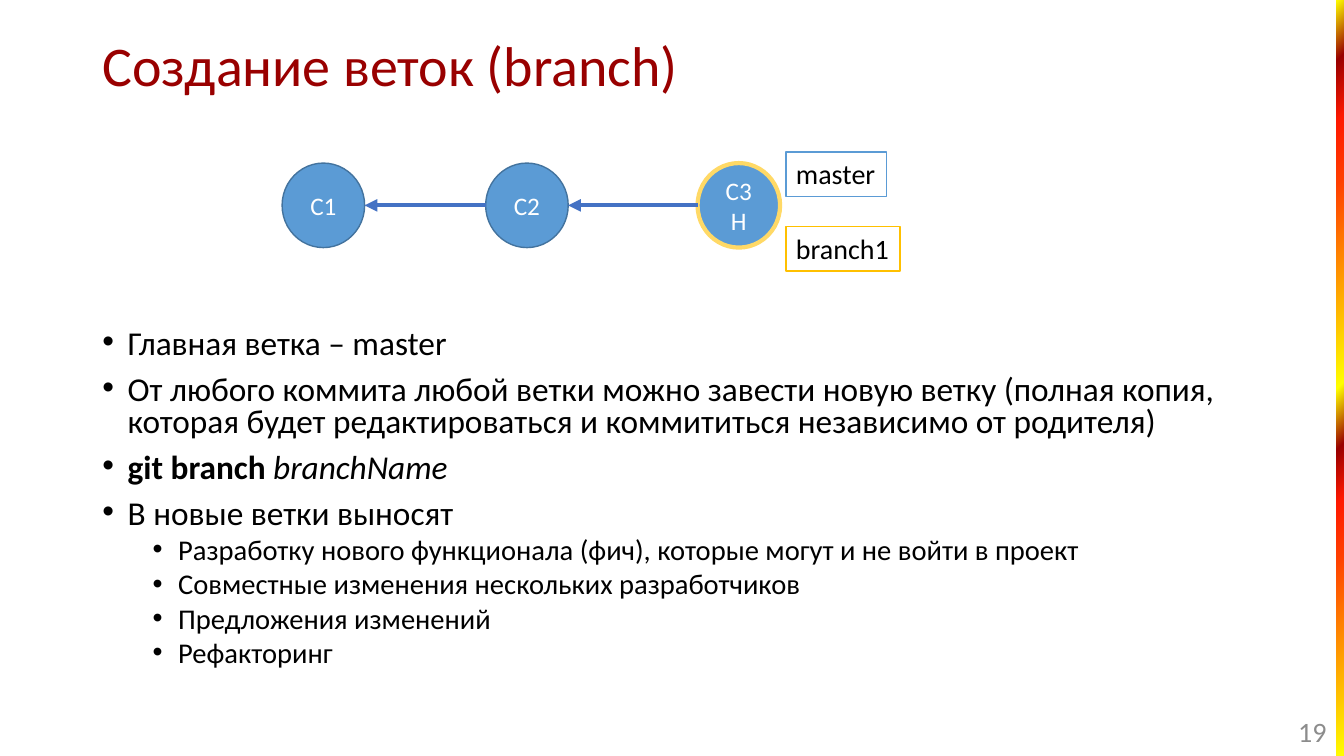
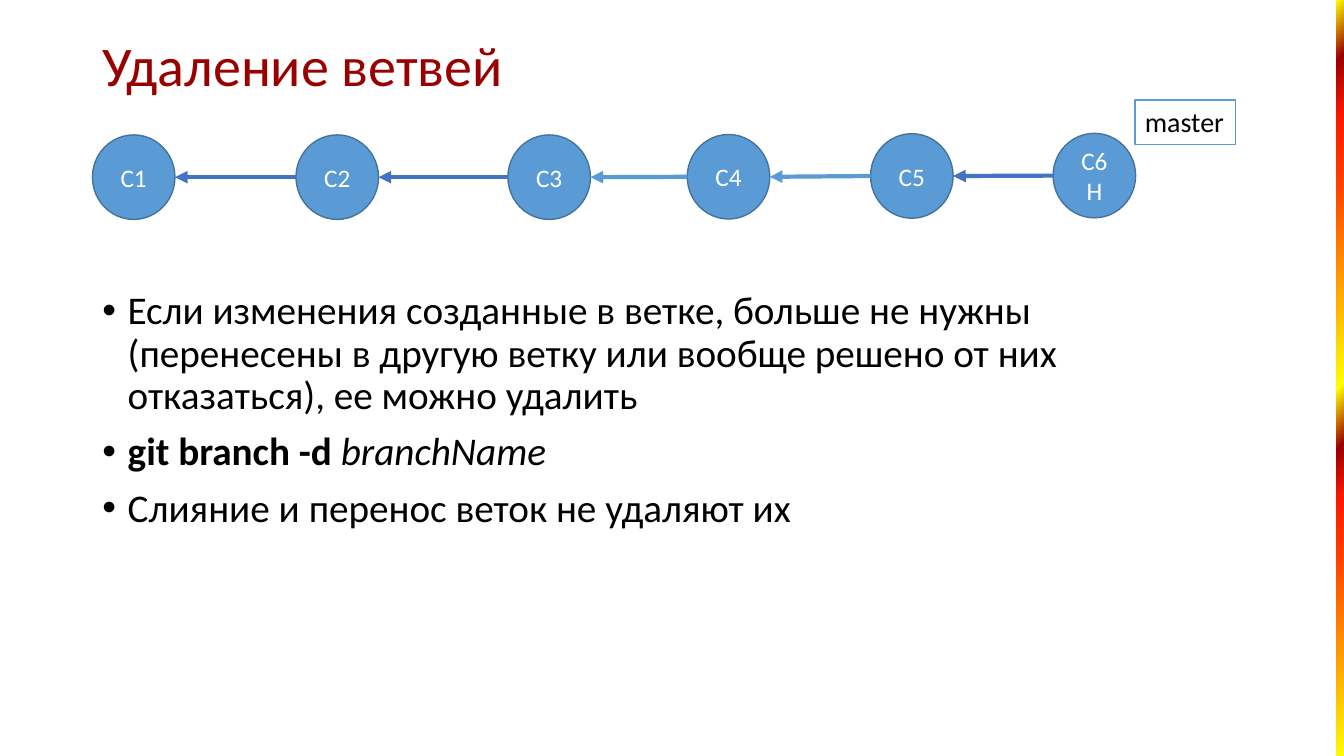
from lxml import etree
from pptx import Presentation
from pptx.dml.color import RGBColor
from pptx.enum.shapes import MSO_CONNECTOR, MSO_SHAPE
from pptx.enum.text import MSO_ANCHOR, MSO_AUTO_SIZE, PP_ALIGN
from pptx.oxml import parse_xml
from pptx.oxml.ns import nsdecls, qn
from pptx.util import Cm, Pt

OVAL, RECT = MSO_SHAPE.OVAL, MSO_SHAPE.RECTANGLE
LINE = MSO_CONNECTOR.STRAIGHT
MIDDLE = MSO_ANCHOR.MIDDLE
LEFT, CENTER, RIGHT = PP_ALIGN.LEFT, PP_ALIGN.CENTER, PP_ALIGN.RIGHT
GROW = MSO_AUTO_SIZE.SHAPE_TO_FIT_TEXT

FONT = "Calibri"
INK = {
    "title": "990000", "text": "000000", "page": "8C8C8C", "white": "FFFFFF",
    "node": "5B9BD5", "rim": "43739E", "head": "FFD966",
    "arrow": "4472C4", "gold": "FFC000",
}
BAND = [(0, "FFFF00"), (27, "FF3D00"), (34, "FF1900"), (41, "990000"),
        (49, "FFFF00"), (76, "FF3D00"), (84, "FF1900"), (92, "990000"),
        (100, "FFFF00")]
NODE_W, NODE_H = 2.08, 2.13
TAG_H = 1.12
BODY_END = 17.4

# Nodes: text, left, top, rim, rim width, colour of the arrow to the node before
# Tags: text, left, top, width, line
# Items: level, then pieces of text with their style
SLIDES = [
    {
        "title": "Создание веток (branch)",
        "page": "19",
        "nodes": [
            ("C1", 7.11, 4.11, "rim", 1, None),
            ("C2", 12.24, 4.11, "rim", 1, "arrow"),
            ("C3\vH", 17.58, 4.11, "head", 3, "arrow"),
        ],
        "tags": [
            ("master", 19.81, 3.83, 2.54, "node"),
            ("branch1", 19.81, 5.71, 2.87, "gold"),
        ],
        "top": 8.18, "sizes": (23.8, 20.4), "pitch": 0.8,
        "items": [
            (0, [("Главная ветка – master", "")]),
            (0, [("От любого коммита любой ветки можно завести новую ветку "
                  "(полная копия, которая будет редактироваться и "
                  "коммититься независимо от родителя)", "")]),
            (0, [("git branch ", "b"), ("branchName", "i")]),
            (0, [("В новые ветки выносят", "")]),
            (1, [("Разработку нового функционала (фич), которые могут и не "
                  "войти в проект", "")]),
            (1, [("Совместные изменения нескольких разработчиков", "")]),
            (1, [("Предложения изменений", "")]),
            (1, [("Рефакторинг", "")]),
        ],
    },
    {
        "title": "Удаление ветвей",
        "page": None,
        "nodes": [
            ("C1", 2.33, 3.4, "rim", 1, None),
            ("C2", 7.46, 3.4, "rim", 1, "arrow"),
            ("C3", 12.8, 3.4, "rim", 1, "arrow"),
            ("C4", 17.32, 3.39, "rim", 1, "node"),
            ("C5", 21.94, 3.37, "rim", 1, "node"),
            ("C6\vH", 26.54, 3.36, "rim", 1, "arrow"),
        ],
        "tags": [("master", 28.6, 2.52, 2.54, "node")],
        "top": 7.21, "sizes": (28, 24), "pitch": 0.9,
        "items": [
            (0, [("Если изменения созданные в ветке, больше не нужны "
                  "(перенесены в другую ветку или вообще решено от них "
                  "отказаться), ее можно удалить", "")]),
            (0, [("git branch -d ", "b"), ("branchName", "i")]),
            (0, [("Слияние и перенос веток не удаляют их", "")]),
        ],
    },
]


def rgb(name):
    """Give the colour for a name in INK."""
    return RGBColor.from_string(INK[name])


def write(shape, text, size, ink, align=LEFT, anchor=MIDDLE):
    """Put text in a shape and style it; return its text frame."""
    frame = shape.text_frame
    frame.text = text
    frame.word_wrap = True
    frame.vertical_anchor = anchor
    para = frame.paragraphs[0]
    para.alignment = align
    for run in para.runs:
        run.font.name = FONT
        run.font.size = Pt(size)
        run.font.color.rgb = rgb(ink)
    return frame


deck = Presentation()
deck.slide_width, deck.slide_height = Cm(33.87), Cm(19.05)

for data in SLIDES:
    slide = deck.slides.add_slide(deck.slide_layouts[6])
    shapes = slide.shapes

    # Colour band on the right edge
    band = shapes.add_shape(RECT, Cm(33.68), 0, Cm(0.19), deck.slide_height)
    band.shadow.inherit = False
    band.line.fill.background()
    stops = "".join(
        f'<a:gs pos="{pos * 1000}"><a:srgbClr val="{tone}"/></a:gs>'
        for pos, tone in BAND)
    fade = parse_xml(
        f'<a:gradFill {nsdecls("a")} rotWithShape="1"><a:gsLst>{stops}</a:gsLst>'
        '<a:lin ang="13500000" scaled="0"/></a:gradFill>')
    band.element.spPr.find(qn("a:prstGeom")).addnext(fade)

    # Title and page number
    box = shapes.add_textbox(Cm(2.33), Cm(0.38), Cm(29.21), Cm(2.69))
    write(box, data["title"], 40, "title").paragraphs[0].line_spacing = 0.9
    if data["page"]:
        box = shapes.add_textbox(Cm(30.99), Cm(17.91), Cm(2.69), Cm(1.02))
        write(box, data["page"], 20, "page", RIGHT)

    # Bullet list
    box = shapes.add_textbox(Cm(2.33), Cm(data["top"]), Cm(29.21),
                             Cm(BODY_END - data["top"]))
    frame = box.text_frame
    frame.word_wrap = True
    for i, (level, parts) in enumerate(data["items"]):
        para = frame.paragraphs[0] if i == 0 else frame.add_paragraph()
        para.level = level
        para.line_spacing = data["pitch"]
        para.space_before = Pt(5 if level else 10)
        props = para._p.get_or_add_pPr()
        props.set("marL", str(Cm(0.64 + 1.27 * level)))
        props.set("indent", str(-Cm(0.64)))
        etree.SubElement(props, qn("a:buFont")).set("typeface", "Arial")
        etree.SubElement(props, qn("a:buChar")).set("char", "•")
        for text, style in parts:
            run = para.add_run()
            run.text = text
            run.font.name = FONT
            run.font.size = Pt(data["sizes"][level])
            run.font.color.rgb = rgb("text")
            run.font.bold = style == "b"
            run.font.italic = style == "i"

    # Commits, each with an arrow back to the one before
    last = None
    for text, left, top, rim, width, ink in data["nodes"]:
        node = shapes.add_shape(OVAL, Cm(left), Cm(top), Cm(NODE_W), Cm(NODE_H))
        node.shadow.inherit = False
        node.fill.solid()
        node.fill.fore_color.rgb = rgb("node")
        node.line.color.rgb = rgb(rim)
        node.line.width = Pt(width)
        write(node, text, 18, "white", CENTER)
        mid = top + NODE_H / 2
        if last:
            arrow = shapes.add_connector(LINE, Cm(left), Cm(mid),
                                         Cm(last[0]), Cm(last[1]))
            arrow.line.color.rgb = rgb(ink)
            arrow.line.width = Pt(3)
            tip = etree.SubElement(arrow.line._get_or_add_ln(), qn("a:tailEnd"))
            tip.set("type", "triangle")
            etree.SubElement(arrow._element.spPr, qn("a:effectLst"))
        last = (left + NODE_W, mid)

    # Branch names
    for text, left, top, width, edge in data["tags"]:
        tag = shapes.add_textbox(Cm(left), Cm(top), Cm(width), Cm(TAG_H))
        tag.fill.solid()
        tag.fill.fore_color.rgb = rgb("white")
        tag.line.color.rgb = rgb(edge)
        tag.line.width = Pt(1)
        frame = write(tag, text, 20, "text", anchor=MSO_ANCHOR.TOP)
        frame.word_wrap = False
        frame.auto_size = GROW

deck.save("out.pptx")
